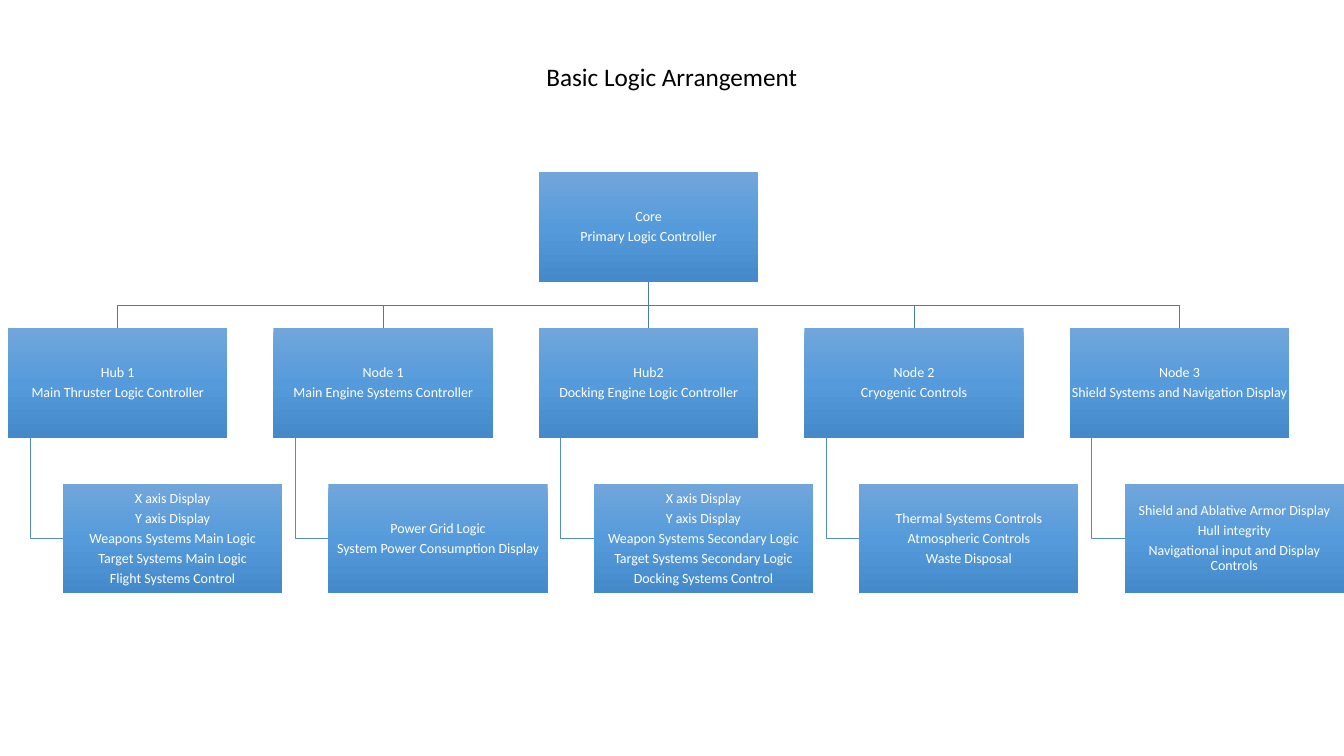
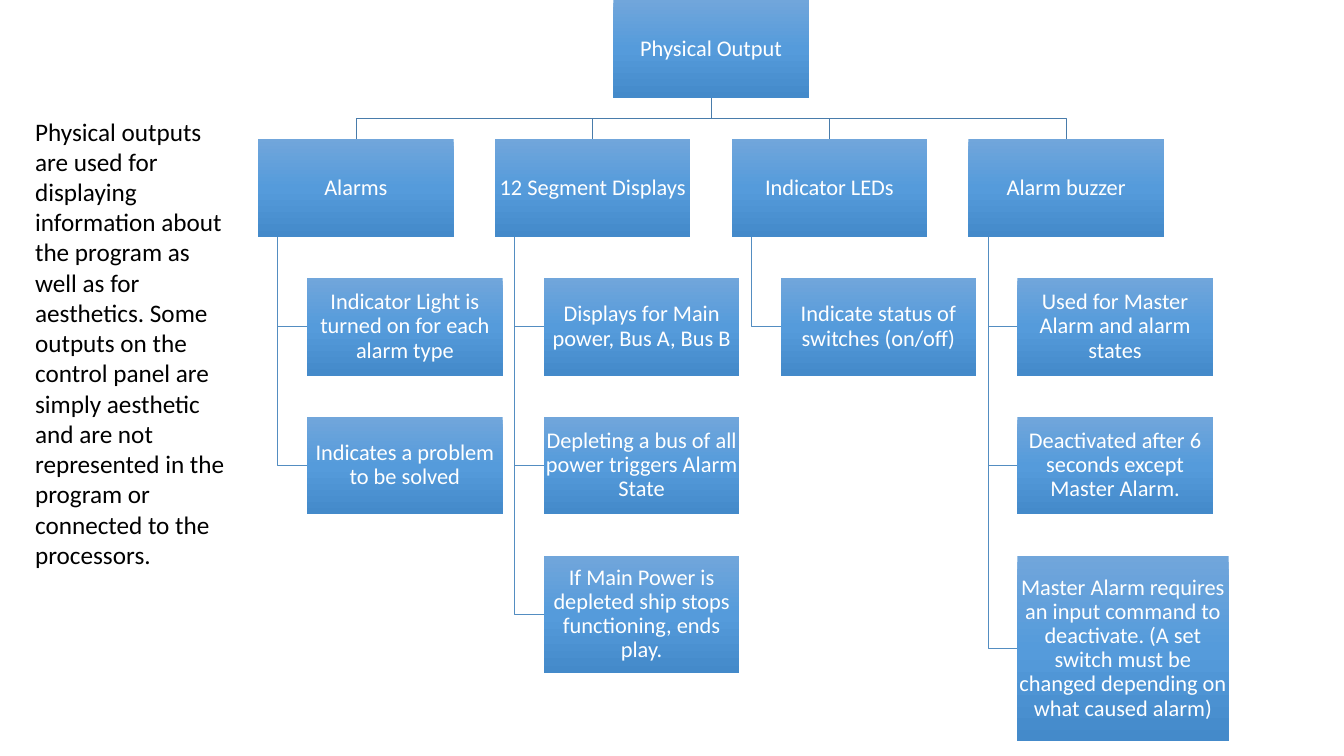
from copy import deepcopy
from dataclasses import dataclass

from lxml.etree import SubElement
from pptx import Presentation
from pptx.dml.color import RGBColor
from pptx.enum.shapes import MSO_CONNECTOR as Connector, MSO_SHAPE as Preset
from pptx.enum.text import MSO_ANCHOR as Anchor, MSO_AUTO_SIZE as AutoSize, PP_ALIGN as Align
from pptx.oxml.ns import qn
from pptx.util import Inches, Pt

SLIDE_WIDTH, SLIDE_HEIGHT = 13.33, 7.5
FONT = "Calibri"
BLACK, WHITE = "000000", "FFFFFF"
BOX_GRADIENT = [(0, "71A6DB"), (0.5, "559BDB"), (1, "448ACA")]
TOP_WIRE, CHILD_WIRE = "497CAB", "538DC1"

BOX_HEIGHT, GAP, COLUMN, INDENT, TRUNK = 0.5, 0.21, 1.21, 0.25, 0.1


@dataclass
class Box:
    lines: list
    width: float = 1
    height: float = BOX_HEIGHT


CONTROLLERS = [
    (Box(["Hub 1", "Main Thruster Logic Controller"]),
     [Box(["X axis Display", "Y axis Display", "Weapons Systems Main Logic",
           "Target Systems Main Logic", "Flight Systems Control"])]),
    (Box(["Node 1", "Main Engine Systems Controller"]),
     [Box(["Power Grid Logic", "System Power Consumption Display"])]),
    (Box(["Hub2", "Docking Engine Logic Controller"]),
     [Box(["X axis Display", "Y axis Display", "Weapon Systems Secondary Logic",
           "Target Systems Secondary Logic", "Docking Systems Control"])]),
    (Box(["Node 2", "Cryogenic Controls"]),
     [Box(["Thermal Systems Controls", "Atmospheric Controls", "Waste Disposal"])]),
    (Box(["Node 3", "Shield Systems and Navigation Display"]),
     [Box(["Shield and Ablative Armor Display", "Hull integrity",
           "Navigational input and Display Controls"])]),
]

OUTPUTS = [
    (Box(["Alarms"]),
     [Box(["Indicator Light is turned on for each alarm type"]),
      Box(["Indicates a problem to be solved"])]),
    (Box(["12 Segment Displays"]),
     [Box(["Displays for Main power, Bus A, Bus B"]),
      Box(["Depleting a bus of all power triggers Alarm State"]),
      Box(["If Main Power is depleted ship stops functioning, ends play."], height=0.6)]),
    (Box(["Indicator LEDs"]),
     [Box(["Indicate status of switches (on/off)"])]),
    (Box(["Alarm buzzer"]),
     [Box(["Used for Master Alarm and alarm states"]),
      Box(["Deactivated after 6 seconds except Master Alarm."]),
      Box(["Master Alarm requires an input command to deactivate. "
           "(A set switch must be changed depending on what caused alarm)"],
          width=1.08, height=0.95)]),
]

OUTPUT_NOTE = (
    "Physical outputs are used for displaying information about the program as well as "
    "for aesthetics. Some outputs on the control panel are simply aesthetic and are not "
    "represented in the program or connected to the processors."
)


def rgb(value):
    return RGBColor.from_string(value)


def add_run(paragraph, text, size, color):
    run = paragraph.add_run()
    run.text = text
    run.font.name = FONT
    run.font.size = Pt(size)
    run.font.color.rgb = rgb(color)


def add_text(slide, text, left, top, width, height, wrap):
    shape = slide.shapes.add_textbox(*map(Inches, (left, top, width, height)))
    frame = shape.text_frame
    frame.word_wrap = wrap
    frame.auto_size = AutoSize.SHAPE_TO_FIT_TEXT
    add_run(frame.paragraphs[0], text, 18, BLACK)


def fill_gradient(shape, stops):
    shape.fill.gradient()
    shape.fill.gradient_angle = 270
    stop_list = shape._element.spPr.find(qn("a:gradFill")).find(qn("a:gsLst"))
    while len(stop_list) < len(stops):
        stop_list.append(deepcopy(stop_list[0]))
    for stop, (position, color) in zip(shape.fill.gradient_stops, stops):
        stop.position = position
        stop.color.rgb = rgb(color)


def add_box(slide, box, left, top, unit, size):
    shape = slide.shapes.add_shape(
        Preset.RECTANGLE,
        *map(Inches, (left, top, box.width * unit, box.height * unit)))
    shape.shadow.inherit = False
    fill_gradient(shape, BOX_GRADIENT)
    shape.line.fill.background()
    frame = shape.text_frame
    frame.word_wrap = True
    frame.vertical_anchor = Anchor.MIDDLE
    frame.margin_left = frame.margin_right = Inches(0.01)
    frame.margin_top = frame.margin_bottom = Inches(0.01)
    for index, line in enumerate(box.lines):
        paragraph = frame.add_paragraph() if index else frame.paragraphs[0]
        paragraph.alignment = Align.CENTER
        paragraph.line_spacing = 0.9
        paragraph.space_after = Pt(0.35 * size)
        add_run(paragraph, line, size, WHITE)


def add_wire(slide, points, color):
    points = [(Inches(x), Inches(y)) for x, y in points]
    start, end = points[0], points[-1]
    if abs(start[0] - end[0]) < Inches(0.01):
        shape = slide.shapes.add_connector(Connector.STRAIGHT, *start, *end)
    else:
        builder = slide.shapes.build_freeform(*start)
        builder.add_line_segments(points[1:], close=False)
        shape = builder.convert_to_shape()
        shape.fill.background()
    shape.line.color.rgb = rgb(color)
    shape.line.width = Pt(0.5)
    SubElement(shape._element.spPr, qn("a:effectLst"))


def add_tree(slide, root, branches, left, top, span, size):
    last = len(branches) - 1
    unit = span / (last * COLUMN + 1 + INDENT)
    root_left = left + last * COLUMN * unit / 2
    root_center = root_left + unit / 2
    root_bottom = top + BOX_HEIGHT * unit
    branch_top = root_bottom + GAP * unit
    branch_bottom = branch_top + BOX_HEIGHT * unit
    rail = (root_bottom + branch_top) / 2

    wires, boxes = [], [(root, root_left, top)]
    for column, (branch, children) in enumerate(branches):
        branch_left = left + column * COLUMN * unit
        center = branch_left + unit / 2
        trunk = branch_left + TRUNK * unit
        child_left = branch_left + INDENT * unit
        child_top = branch_bottom + GAP * unit
        boxes.append((branch, branch_left, branch_top))
        wires.append(([(root_center, root_bottom), (root_center, rail),
                       (center, rail), (center, branch_top)], TOP_WIRE))
        for child in children:
            middle = child_top + child.height * unit / 2
            boxes.append((child, child_left, child_top))
            wires.append(([(trunk, branch_bottom), (trunk, middle),
                           (child_left, middle)], CHILD_WIRE))
            child_top += (child.height + GAP) * unit

    for points, color in wires:
        add_wire(slide, points, color)
    for box, box_left, box_top in boxes:
        add_box(slide, box, box_left, box_top, unit, size)


def main():
    presentation = Presentation()
    presentation.slide_width = Inches(SLIDE_WIDTH)
    presentation.slide_height = Inches(SLIDE_HEIGHT)
    blank = presentation.slide_layouts[6]

    slide = presentation.slides.add_slide(blank)
    add_tree(slide, Box(["Core", "Primary Logic Controller"]), CONTROLLERS,
             left=0.08, top=1.71, span=13.25, size=10)
    add_text(slide, "Basic Logic Arrangement", 5.32, 0.56, 2.78, 0.4, wrap=False)

    slide = presentation.slides.add_slide(blank)
    add_tree(slide, Box(["Physical Output"]), OUTPUTS,
             left=2.56, top=0, span=9.47, size=16)
    add_text(slide, OUTPUT_NOTE, 0.25, 1.1, 2.14, 4.64, wrap=True)

    presentation.save("out.pptx")


if __name__ == "__main__":
    main()
